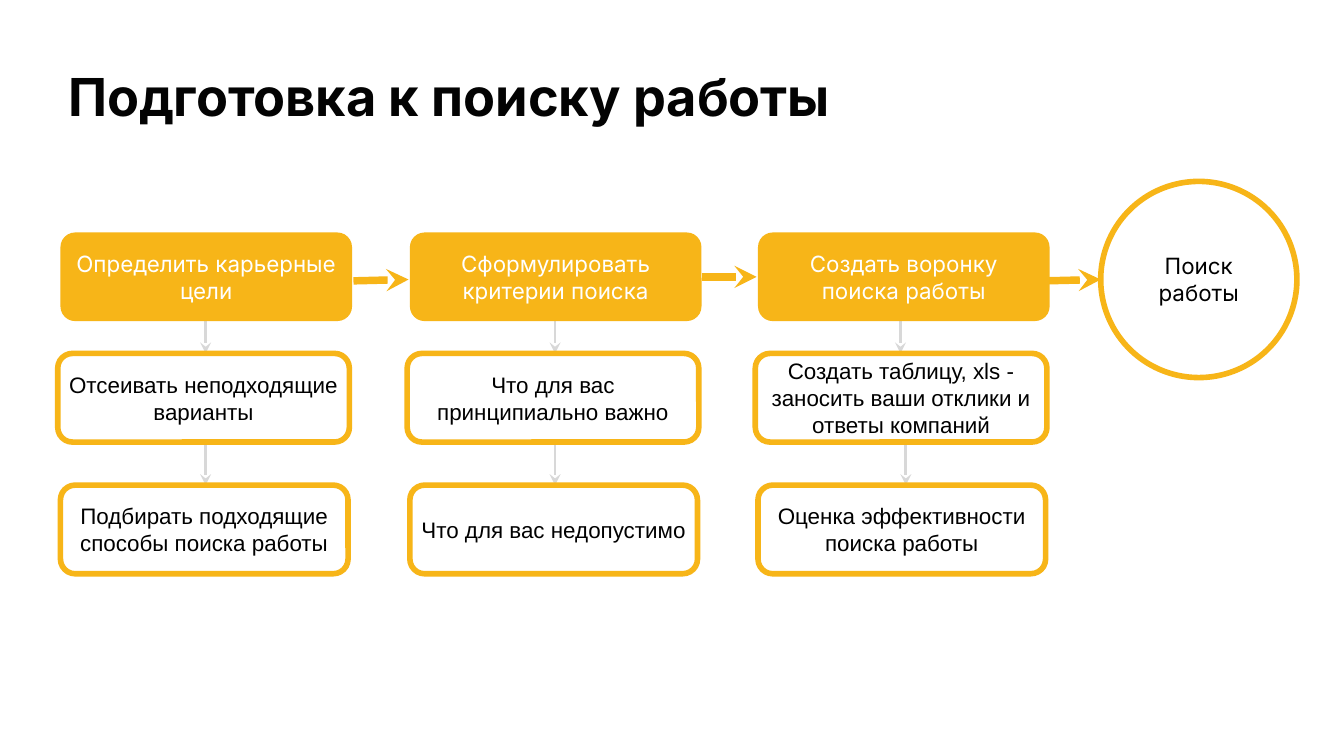
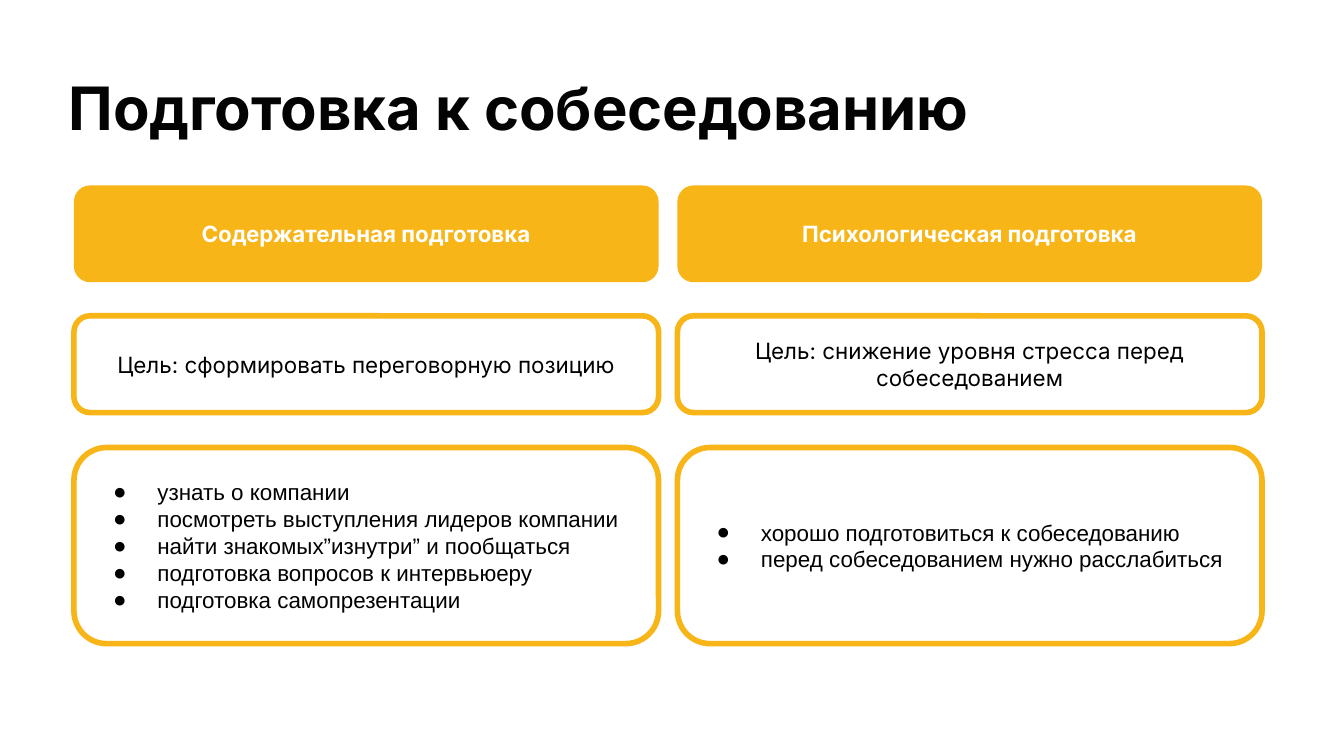
from dataclasses import dataclass

from lxml import etree
from pptx import Presentation
from pptx import util as u
from pptx.dml.color import RGBColor
from pptx.enum import shapes, text
from pptx.oxml.ns import qn

AMBER = "F7B518"
GREY = "D8D8D8"
WHITE = "FFFFFF"
BLACK = "000000"
TITLE_INK = "030303"
HEADING_FONT = "Inter"
BODY_FONT = "Arial"
SLIDE_WIDTH = u.Inches(10)
SLIDE_HEIGHT = SLIDE_WIDTH * 9 // 16

BOX_FORMAT = {
    "margin_left": u.Inches(0.05),
    "margin_right": u.Inches(0.05),
    "margin_top": u.Inches(0.02),
    "margin_bottom": u.Inches(0.02),
    "vertical_anchor": text.MSO_ANCHOR.MIDDLE,
    "word_wrap": True,
}
TITLE_FORMAT = {
    "margin_left": 0,
    "margin_right": 0,
    "margin_top": 0,
    "margin_bottom": 0,
    "vertical_anchor": text.MSO_ANCHOR.TOP,
    "word_wrap": True,
}


@dataclass(frozen=True)
class Area:
    left: float
    top: float
    width: float
    height: float


@dataclass(frozen=True)
class Box:
    area: Area
    lines: tuple[str, ...]
    font: str = BODY_FONT
    filled: bool = False
    bold: bool = False
    bulleted: bool = False
    outline: shapes.MSO_SHAPE = shapes.MSO_SHAPE.ROUNDED_RECTANGLE


@dataclass(frozen=True)
class Arrow:
    start: tuple[float, float]
    end: tuple[float, float]
    color: str
    weight: float


@dataclass(frozen=True)
class Stage:
    left: float
    arrow_xs: tuple[float, float]
    heading: str
    first_step: str
    second_step: str


@dataclass(frozen=True)
class Track:
    heading: str
    goal: str
    actions: tuple[str, ...]


STAGES = (
    Stage(0.45, (1.53, 1.53), "Определить карьерные цели",
          "Отсеивать неподходящие варианты",
          "Подбирать подходящие способы поиска работы"),
    Stage(3.05, (4.13, 4.13), "Сформулировать критерии поиска",
          "Что для вас принципиально важно",
          "Что для вас недопустимо"),
    Stage(5.64, (6.7, 6.74), "Создать воронку поиска работы",
          "Создать таблицу, xls - заносить ваши отклики и ответы компаний",
          "Оценка эффективности поиска работы"),
)
STAGE_ARROWS = (
    Arrow((2.63, 2.09), (3.04, 2.08), AMBER, 4),
    Arrow((5.22, 2.06), (5.63, 2.06), AMBER, 4),
    Arrow((7.77, 2.09), (8.19, 2.08), AMBER, 4),
)
STEP_SPANS = ((2.3, 2.63), (3.27, 3.61))
TRACKS = (
    Track("Содержательная подготовка",
          "Цель: сформировать переговорную позицию",
          ("узнать о компании",
           "посмотреть выступления лидеров компании",
           "найти знакомых”изнутри” и пообщаться",
           "подготовка вопросов к интервьюеру",
           "подготовка самопрезентации")),
    Track("Психологическая подготовка",
          "Цель: снижение уровня стресса перед собеседованием",
          ("хорошо подготовиться к собеседованию",
           "перед собеседованием нужно расслабиться")),
)


def rgb(value: str) -> RGBColor:
    return RGBColor.from_string(value)


def apply(target, values: dict) -> None:
    for name, value in values.items():
        setattr(target, name, value)


def inches(area: Area) -> tuple:
    return tuple(u.Inches(v) for v in (area.left, area.top, area.width, area.height))


def write(paragraph, line: str, font: str, size: int, color: str, bold: bool) -> None:
    run = paragraph.add_run()
    run.text = line
    apply(run.font, {"name": font, "size": u.Pt(size), "bold": bold})
    run.font.color.rgb = rgb(color)


def add_bullet(paragraph) -> None:
    properties = paragraph._p.get_or_add_pPr()
    properties.set("marL", str(u.Inches(0.5)))
    properties.set("indent", str(u.Inches(-0.33)))
    tint = etree.SubElement(properties, qn("a:buClr"))
    etree.SubElement(tint, qn("a:srgbClr"), val=BLACK)
    etree.SubElement(properties, qn("a:buFont"), typeface=BODY_FONT)
    etree.SubElement(properties, qn("a:buChar"), char="●")


def add_title(slide, heading: str, area: Area, size: int, spacing: float) -> None:
    frame = slide.shapes.add_textbox(*inches(area)).text_frame
    apply(frame, TITLE_FORMAT)
    paragraph = frame.paragraphs[0]
    paragraph.line_spacing = spacing
    write(paragraph, heading, HEADING_FONT, size, TITLE_INK, True)


def add_box(slide, box: Box) -> None:
    shape = slide.shapes.add_shape(box.outline, *inches(box.area))
    shape.shadow.inherit = False
    if box.filled:
        shape.fill.solid()
        shape.fill.fore_color.rgb = rgb(AMBER)
        shape.line.fill.background()
    else:
        shape.fill.background()
        shape.line.color.rgb = rgb(AMBER)
        shape.line.width = u.Pt(3)
    frame = shape.text_frame
    apply(frame, BOX_FORMAT)
    for index, line in enumerate(box.lines):
        paragraph = frame.add_paragraph() if index else frame.paragraphs[0]
        align = text.PP_ALIGN.LEFT if box.bulleted else text.PP_ALIGN.CENTER
        paragraph.alignment = align
        if box.bulleted:
            add_bullet(paragraph)
        write(paragraph, line, box.font, 12, WHITE if box.filled else BLACK, box.bold)


def add_arrow(slide, arrow: Arrow) -> None:
    ends = [u.Inches(v) for v in (*arrow.start, *arrow.end)]
    connector = slide.shapes.add_connector(shapes.MSO_CONNECTOR.STRAIGHT, *ends)
    connector.line.color.rgb = rgb(arrow.color)
    connector.line.width = u.Pt(arrow.weight)
    properties = connector.element.spPr
    etree.SubElement(properties.find(qn("a:ln")), qn("a:tailEnd"), type="stealth")
    etree.SubElement(properties, qn("a:effectLst"))


def build_search(slide) -> None:
    add_title(slide, "Подготовка к поиску работы", Area(0.51, 0.53, 6.69, 0.64), 28, 0.9)
    for stage in STAGES:
        for x, (top, bottom) in zip(stage.arrow_xs, STEP_SPANS):
            add_arrow(slide, Arrow((x, top), (x, bottom), GREY, 1.5))
    for stage in STAGES:
        add_box(slide, Box(Area(stage.left - 0.02, 2.63, 2.17, 0.66), (stage.first_step,)))
        add_box(slide, Box(Area(stage.left, 1.73, 2.17, 0.66), (stage.heading,),
                           HEADING_FONT, filled=True))
        add_box(slide, Box(Area(stage.left, 3.61, 2.14, 0.66), (stage.second_step,)))
    add_box(slide, Box(Area(8.19, 1.35, 1.46, 1.46), ("Поиск работы",), HEADING_FONT,
                       outline=shapes.MSO_SHAPE.OVAL))
    for arrow in STAGE_ARROWS:
        add_arrow(slide, arrow)


def build_interview(slide) -> None:
    add_title(slide, "Подготовка к собеседованию", Area(0.51, 0.53, 8.61, 0.6), 32, 1.0)
    for index, track in enumerate(TRACKS):
        left = 0.55 + index * 4.49
        add_box(slide, Box(Area(left, 1.38, 4.35, 0.72), (track.heading,),
                           HEADING_FONT, filled=True, bold=True))
        add_box(slide, Box(Area(left, 2.35, 4.35, 0.72), (track.goal,), HEADING_FONT))
        add_box(slide, Box(Area(left, 3.33, 4.35, 1.46), track.actions, bulleted=True))


def main() -> None:
    deck = Presentation()
    apply(deck, {"slide_width": SLIDE_WIDTH, "slide_height": SLIDE_HEIGHT})
    for build in (build_search, build_interview):
        slide = deck.slides.add_slide(deck.slide_layouts[6])
        slide.background.fill.solid()
        slide.background.fill.fore_color.rgb = rgb(WHITE)
        build(slide)
    deck.save("out.pptx")


if __name__ == "__main__":
    main()
